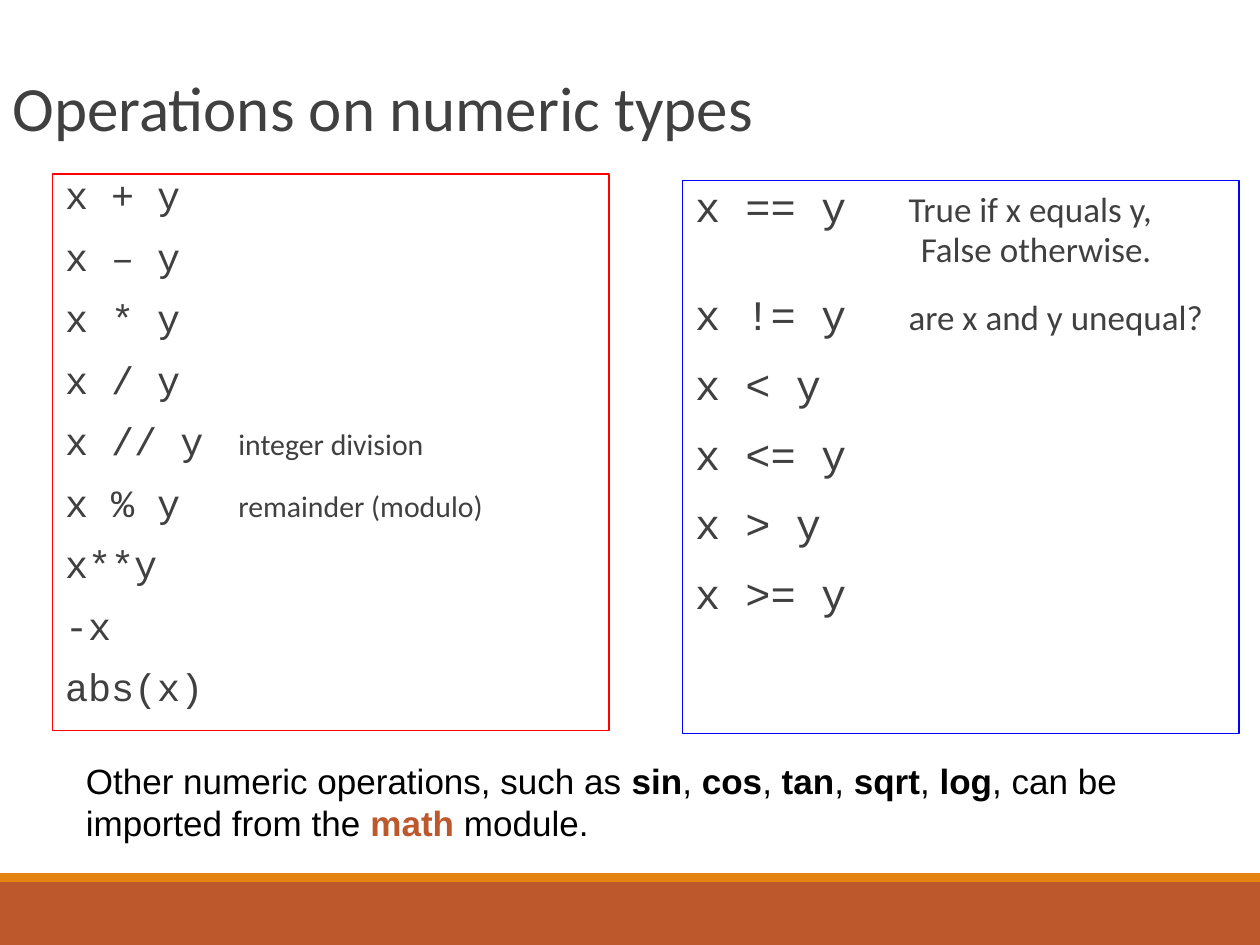
from lxml import etree
from pptx import Presentation
from pptx.dml.color import RGBColor
from pptx.enum.shapes import MSO_SHAPE as SHAPE
from pptx.enum.text import MSO_ANCHOR as ANCHOR, PP_ALIGN as ALIGN
from pptx.oxml.ns import qn
from pptx.util import Pt

GREY, RUST, ORANGE, BLACK = "404040", "BD582C", "E48312", "000000"


def color(hex_string):
    return RGBColor.from_string(hex_string)


def write(paragraph, text, size, font, ink=GREY, bold=False):
    """Add text to a paragraph; a newline becomes a line break."""
    for i, line in enumerate(text.split("\n")):
        if i:
            paragraph.add_line_break()
        run = paragraph.add_run()
        run.text = line
        run.font.size = Pt(size)
        run.font.name = font
        run.font.bold = bold
        run.font.color.rgb = color(ink)


prs = Presentation()
prs.slide_width, prs.slide_height = Pt(720), Pt(540)
slide = prs.slides.add_slide(prs.slide_layouts[6])
shapes = slide.shapes

# Footer bands
for top, height, band_fill in [(504, 36, RUST), (499, 5, ORANGE)]:
    band = shapes.add_shape(SHAPE.RECTANGLE, 0, Pt(top), Pt(720), Pt(height))
    band.shadow.inherit = False
    band.fill.solid()
    band.fill.fore_color.rgb = color(band_fill)
    band.line.fill.background()

# Title
title = shapes.add_textbox(0, Pt(-16), Pt(594), Pt(102)).text_frame
title.word_wrap = True
title.vertical_anchor = ANCHOR.BOTTOM
write(title.paragraphs[0], "Operations on numeric types", 36, "Calibri")

# Operator panels: each row is code, then an optional comment at a tab stop
arithmetic = [("x + y", ""), ("x – y", ""), ("x * y", ""), ("x / y", ""),
              ("x // y", "\tinteger division"), ("x % y", "\tremainder (modulo)"),
              ("x**y", ""), ("-x", ""), ("abs(x)", "")]
comparison = [("x == y", "\tTrue if x equals y,\n\t\tFalse otherwise."),
              ("x != y", "\tare x and y unequal?"),
              ("x < y", ""), ("x <= y", ""), ("x > y", ""), ("x >= y", "")]
panels = [
    (30, 99.5, 318, "FF0000", arithmetic, 22, 17, 0.8, [99]),
    (390, 103, 316, "0000FF", comparison, 24, 20, 0.9, [122, 129]),
]
for left, top, height, outline, rows, code_size, note_size, spacing, stops in panels:
    panel = shapes.add_shape(SHAPE.RECTANGLE, Pt(left), Pt(top), Pt(318), Pt(height))
    panel.shadow.inherit = False
    panel.fill.background()
    panel.line.color.rgb = color(outline)
    panel.line.width = Pt(0.75)
    frame = panel.text_frame
    frame.word_wrap = True
    frame.vertical_anchor = ANCHOR.TOP
    frame.margin_left = frame.margin_right = 0
    for i, (code, note) in enumerate(rows):
        row = frame.add_paragraph() if i else frame.paragraphs[0]
        row.alignment = ALIGN.LEFT
        row.line_spacing = spacing
        row.space_before = Pt(12 if i else 0)
        row.space_after = Pt(2)
        props = row._p.get_or_add_pPr()
        props.set("marL", str(Pt(7.2)))
        if note:
            tabs = etree.SubElement(props, qn("a:tabLst"))
            for stop in stops:
                etree.SubElement(tabs, qn("a:tab"), pos=str(Pt(stop)), algn="l")
        write(row, code, code_size, "Courier New")
        if note:
            write(row, note, note_size, "Calibri")

# Note on the math module
remark = shapes.add_textbox(Pt(42), Pt(430.5), Pt(618), Pt(55.5)).text_frame
remark.word_wrap = True
sentence = remark.paragraphs[0]
pieces = ["Other numeric operations, such as ", "sin", ", ", "cos", ", ", "tan", ", ",
          "sqrt", ", ", "log", ", can be imported from the ", "math", " module."]
for i, piece in enumerate(pieces):
    write(sentence, piece, 20, "Arial", bold=i % 2 == 1,
          ink=RUST if piece == "math" else BLACK)

prs.save("out.pptx")
